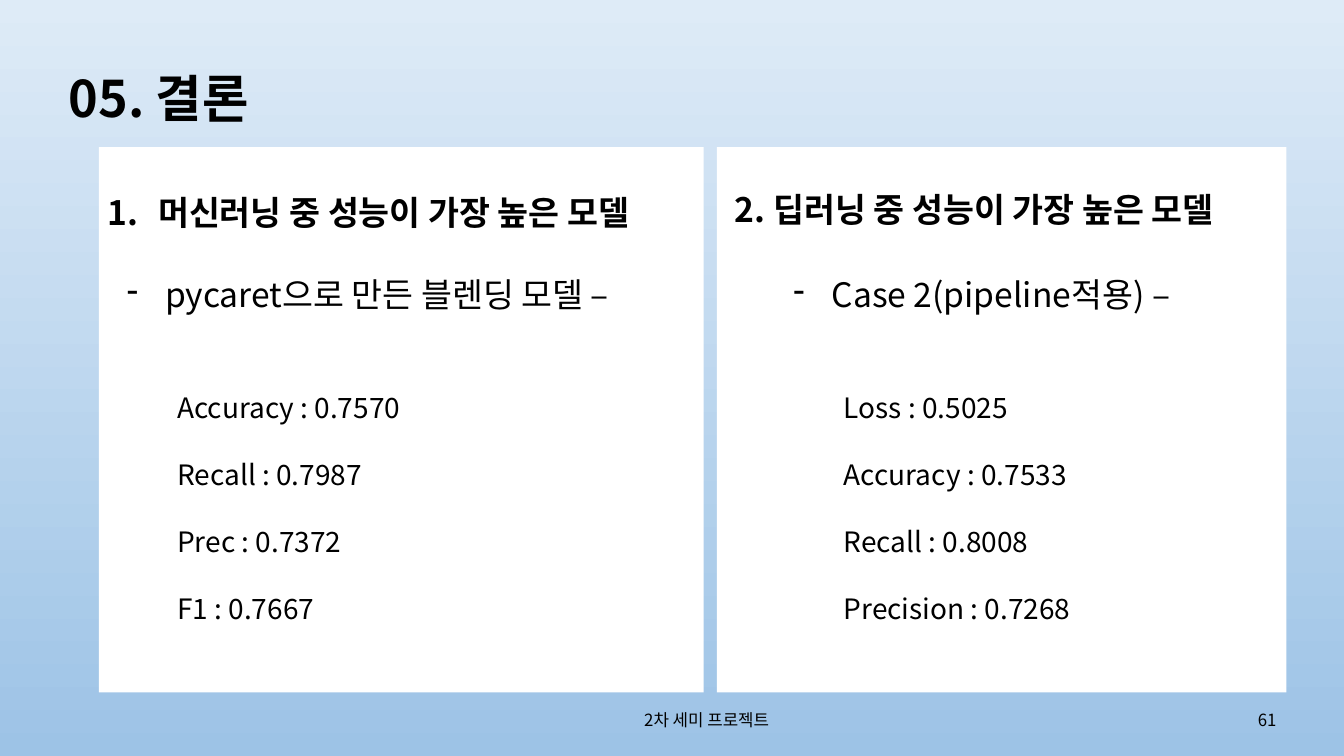
from lxml import etree
from pptx import Presentation
from pptx.dml.color import RGBColor
from pptx.enum.shapes import MSO_SHAPE
from pptx.enum.text import MSO_ANCHOR, PP_ALIGN
from pptx.oxml.ns import qn
from pptx.util import Inches, Pt

FONT = "Noto Sans CJK KR"
COLORS = {"top": "DEEBF7", "bottom": "9DC3E6", "panel": "FFFFFF", "text": "000000"}


def write(p, text, size, bold=False, align=PP_ALIGN.LEFT):
    p.text = text
    p.alignment = align
    for r in p.runs:
        r.font.size, r.font.bold, r.font.name = Pt(size), bold, FONT
        r.font.color.rgb = RGBColor.from_string(COLORS["text"])
        etree.SubElement(r._r.get_or_add_rPr(), qn("a:ea"), typeface=FONT)


def indent(p, left, hanging=0, bullet=None, **attrs):
    pPr = p._p.get_or_add_pPr()
    pPr.set("marL", str(Inches(left)))
    pPr.set("indent", str(-Inches(hanging)))
    if bullet:
        etree.SubElement(pPr, qn(bullet), **attrs)


prs = Presentation()
prs.slide_width, prs.slide_height = Inches(13.33), Inches(7.5)
s = prs.slides.add_slide(prs.slide_layouts[5])

# Background gradient, light at the top
fill = s.background.fill
fill.gradient()
fill.gradient_angle = 270
for stop, name, position in zip(fill.gradient_stops, ("top", "bottom"), (0, 1)):
    stop.color.rgb = RGBColor.from_string(COLORS[name])
    stop.position = position

# Title
title = s.shapes.title
title.left, title.top = Inches(0.58), Inches(0.53)
title.width, title.height = Inches(12.18), Inches(0.94)
title.text_frame.vertical_anchor = MSO_ANCHOR.MIDDLE
write(title.text_frame.paragraphs[0], "05. 결론", 36, bold=True)
title.text_frame.paragraphs[0].line_spacing = 0.9

# White panels
for left, width in ((0.98, 6), (7.11, 5.65)):
    sp = s.shapes.add_shape(MSO_SHAPE.RECTANGLE, Inches(left), Inches(1.46),
                            Inches(width), Inches(5.41))
    sp.shadow.inherit = False
    sp.fill.solid()
    sp.fill.fore_color.rgb = RGBColor.from_string(COLORS["panel"])
    sp.line.fill.background()

# Panel headings
for left, top, text, numbered in (
        (0.97, 1.85, "머신러닝 중 성능이 가장 높은 모델", True),
        (7.19, 1.83, "2. 딥러닝 중 성능이 가장 높은 모델", False)):
    tf = s.shapes.add_textbox(Inches(left), Inches(top), Inches(6.08), Inches(0.57)).text_frame
    tf.word_wrap = True
    p = tf.paragraphs[0]
    if numbered:
        indent(p, 0.5, 0.5, "a:buAutoNum", type="arabicPeriod")
    write(p, text, 24, bold=True)

# Best model of each kind with its scores
for left, width, height, model, scores in (
        (1.16, 5.37, 3.49, "pycaret으로 만든 블렌딩 모델 –",
         ("Accuracy : 0.7570", "Recall : 0.7987", "Prec : 0.7372", "F1 : 0.7667")),
        (7.77, 3.98, 4.11, "Case 2(pipeline적용) –",
         ("Loss : 0.5025", "Accuracy : 0.7533", "Recall : 0.8008", "Precision : 0.7268"))):
    tf = s.shapes.add_textbox(Inches(left), Inches(2.67), Inches(width), Inches(height)).text_frame
    tf.word_wrap = True
    p = tf.paragraphs[0]
    indent(p, 0.38, 0.38, "a:buChar", char="-")
    write(p, model, 24)
    p.space_after = Pt(30)
    for score in scores:
        p = tf.add_paragraph()
        p.level = 1
        indent(p, 0.5)
        write(p, score, 20)
        p.line_spacing = 2.0

# Footer and page number
for left, width, text, align in ((4.76, 4.5, "2차 세미 프로젝트", PP_ALIGN.CENTER),
                                 (9.76, 3, "61", PP_ALIGN.RIGHT)):
    tf = s.shapes.add_textbox(Inches(left), Inches(6.94), Inches(width), Inches(0.4)).text_frame
    tf.word_wrap = True
    tf.vertical_anchor = MSO_ANCHOR.MIDDLE
    write(tf.paragraphs[0], text, 12, align=align)

prs.save("out.pptx")
